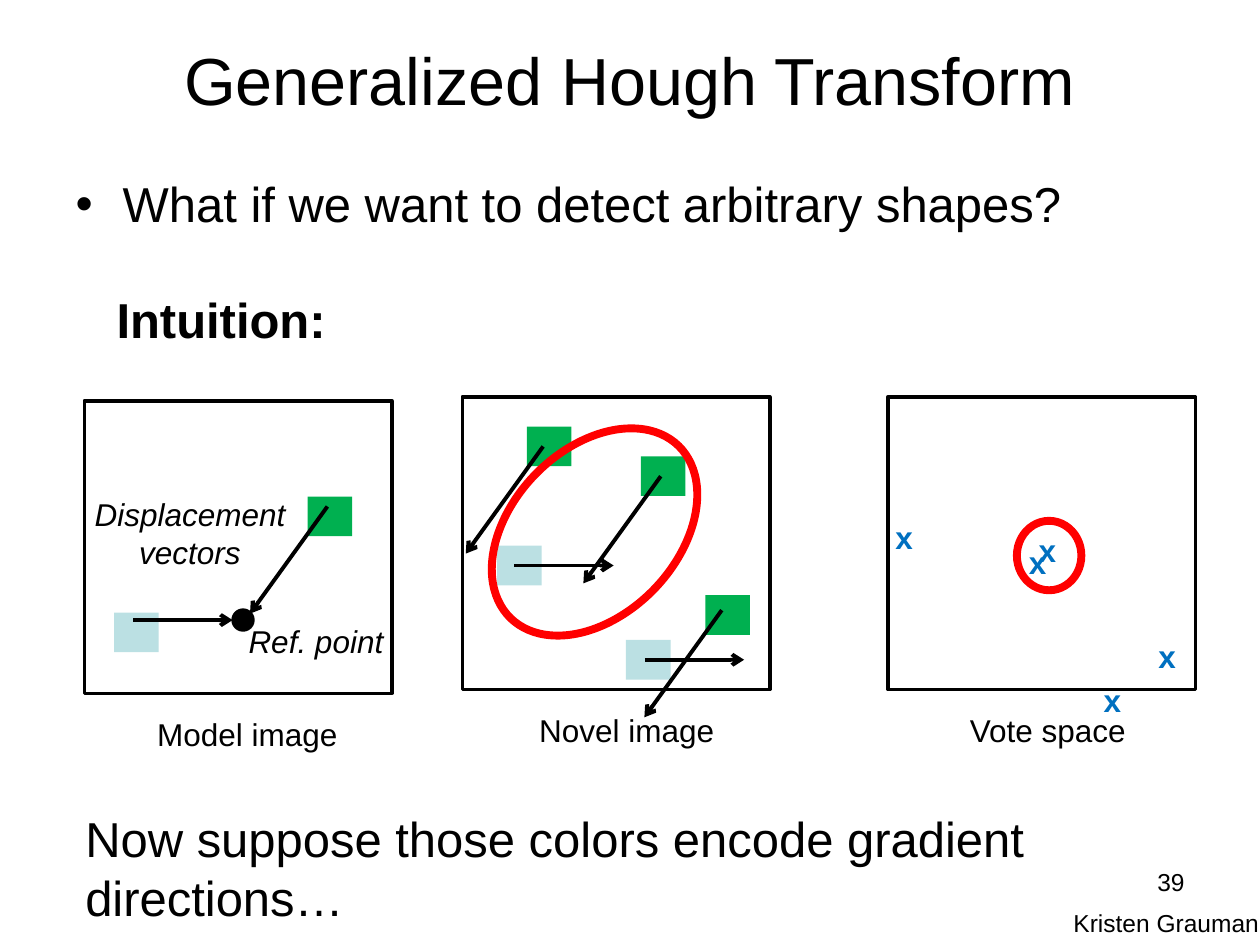
from lxml.etree import SubElement
from pptx import Presentation
from pptx.dml.color import RGBColor
from pptx.enum.shapes import MSO_CONNECTOR, MSO_SHAPE
from pptx.enum.text import MSO_ANCHOR, MSO_AUTO_SIZE, PP_ALIGN
from pptx.oxml.ns import qn
from pptx.util import Cm, Pt

BLACK, RED, GREEN, TEAL, BLUE = "000000", "FF0000", "00B050", "BBE0E3", "0070C0"
PANEL_WIDTH, PANEL_HEIGHT = 6.2, 5.9
DIAGONAL, ACROSS = (-1.56, 2.16), (2, 0)


def color(value):
    return RGBColor.from_string(value)


def place(item, left, top, width, height):
    item.left, item.top = Cm(left), Cm(top)
    item.width, item.height = Cm(width), Cm(height)


def write(item, text, size, ink=BLACK, bold=False, italic=False, align=PP_ALIGN.LEFT):
    item.text_frame.text = text
    paragraph = item.text_frame.paragraphs[0]
    paragraph.alignment = align
    for span in paragraph.runs:
        span.font.name, span.font.size = "Arial", Pt(size)
        span.font.bold, span.font.italic = bold, italic
        span.font.color.rgb = color(ink)
    return paragraph


def add_text(page, box, text, size, wrap=True, **style):
    item = page.shapes.add_textbox(*map(Cm, box))
    item.text_frame.word_wrap = wrap
    write(item, text, size, **style)


def add_figure(page, preset, box, fill=None, line=None, weight=2):
    figure = page.shapes.add_shape(preset, *map(Cm, box))
    figure.shadow.inherit = False
    if fill:
        figure.fill.solid()
        figure.fill.fore_color.rgb = color(fill)
    else:
        figure.fill.background()
    if line:
        figure.line.color.rgb = color(line)
        figure.line.width = Pt(weight)
    else:
        figure.line.fill.background()
    return figure


def add_arrow(page, x, y, vector):
    arrow = page.shapes.add_connector(
        MSO_CONNECTOR.STRAIGHT, Cm(x), Cm(y), Cm(x + vector[0]), Cm(y + vector[1]))
    arrow.line.color.rgb = color(BLACK)
    arrow.line.width = Pt(2.25)
    SubElement(arrow.line._get_or_add_ln(), qn("a:tailEnd"), type="arrow")
    SubElement(arrow._element.spPr, qn("a:effectLst"))


def add_frame(page, left, top, caption, indent, width):
    add_figure(page, MSO_SHAPE.RECTANGLE, (left, top, PANEL_WIDTH, PANEL_HEIGHT), line=BLACK)
    add_text(page, (left + indent, top + 6.2, width, 1.02), caption, 18, wrap=False)


def add_patches(page, left, top, patches):
    for fill, x, y, _, _ in patches:
        add_figure(page, MSO_SHAPE.RECTANGLE, (left + x, top + y, 0.9, 0.8), fill=fill)
    for fill, _, _, x, y in patches:
        add_arrow(page, left + x, top + y, DIAGONAL if fill == GREEN else ACROSS)


def model_panel(page, left, top):
    add_frame(page, left, top, "Model image", 1.22, 4.19)
    add_figure(page, MSO_SHAPE.OVAL, (left + 3, top + 4.22, 0.4, 0.4), fill=BLACK, line=BLACK)
    add_patches(page, left, top, [(TEAL, 0.6, 4.27, 0.99, 4.42),
                                  (GREEN, 4.5, 1.93, 4.9, 2.13)])
    for text, x, y, height in [("Ref. point", 2.36, 4.34, 1.02),
                               ("Displacement vectors", -0.18, 1.78, 1.8)]:
        add_text(page, (left + x, top + y, 4.62, height), text, 18,
                 italic=True, align=PP_ALIGN.CENTER)


def novel_panel(page, left, top):
    add_frame(page, left, top, "Novel image", 1.3, 4.06)
    add_patches(page, left, top, [(GREEN, 1.3, 0.6, 1.63, 1),
                                  (GREEN, 3.6, 1.2, 4, 1.6),
                                  (GREEN, 4.9, 4, 5.23, 4.3),
                                  (TEAL, 0.7, 3, 1.05, 3.4),
                                  (TEAL, 3.3, 4.9, 3.68, 5.3)])
    ellipse = add_figure(page, MSO_SHAPE.OVAL, (left + 1, top + 0.3, 3.33, 4.85),
                         line=RED, weight=4.5)
    ellipse.rotation = 44.3


def vote_panel(page, left, top):
    add_frame(page, left, top, "Vote space", 1.4, 3.68)
    for x, y in [(2.59, 2.82), (2.79, 2.59), (-0.1, 2.31), (4.1, 5.6), (5.2, 4.72)]:
        add_text(page, (left + x, top + y, 2.5, 1.02), "x", 18, ink=BLUE, bold=True)
    add_figure(page, MSO_SHAPE.OVAL, (left + 2.6, top + 2.5, 1.3, 1.4), line=RED, weight=4.5)


def heading(page, left, top):
    title, body = page.placeholders
    place(title, left, top, 25.4, 3.18)
    write(title, "Generalized Hough Transform", 38, align=PP_ALIGN.CENTER)
    title.text_frame.vertical_anchor = MSO_ANCHOR.MIDDLE
    place(body, left + 1.27, top + 3.38, 22.86, 2.2)
    bullet = write(body, "What if we want to detect arbitrary shapes?", 28)
    properties = bullet._p.get_or_add_pPr()
    properties.set("marL", str(Cm(0.95)))
    properties.set("indent", str(Cm(-0.95)))
    for item in (title, body):
        item.text_frame.auto_size = MSO_AUTO_SIZE.NONE
    add_text(page, (left + 2.1, top + 5.72, 5.6, 1.45), "Intuition:", 28, bold=True)


def closing(page, left, top):
    add_text(page, (left, top, 23.9, 2.64),
             "Now suppose those colors encode gradient directions…", 28)
    add_text(page, (left + 19.92, top + 2, 5.08, 0.86), "Kristen Grauman", 14)
    add_text(page, (left + 16.74, top + 1.17, 5.92, 1.32), "39", 14, align=PP_ALIGN.RIGHT)


def main():
    deck = Presentation()
    deck.slide_width, deck.slide_height = Cm(25.4), Cm(19.05)
    page = deck.slides.add_slide(deck.slide_layouts[1])
    heading(page, 0, 0)
    model_panel(page, 1.7, 8.08)
    novel_panel(page, 9.32, 8)
    vote_panel(page, 17.9, 8)
    closing(page, 1.47, 16.18)
    deck.save("out.pptx")


if __name__ == "__main__":
    main()
